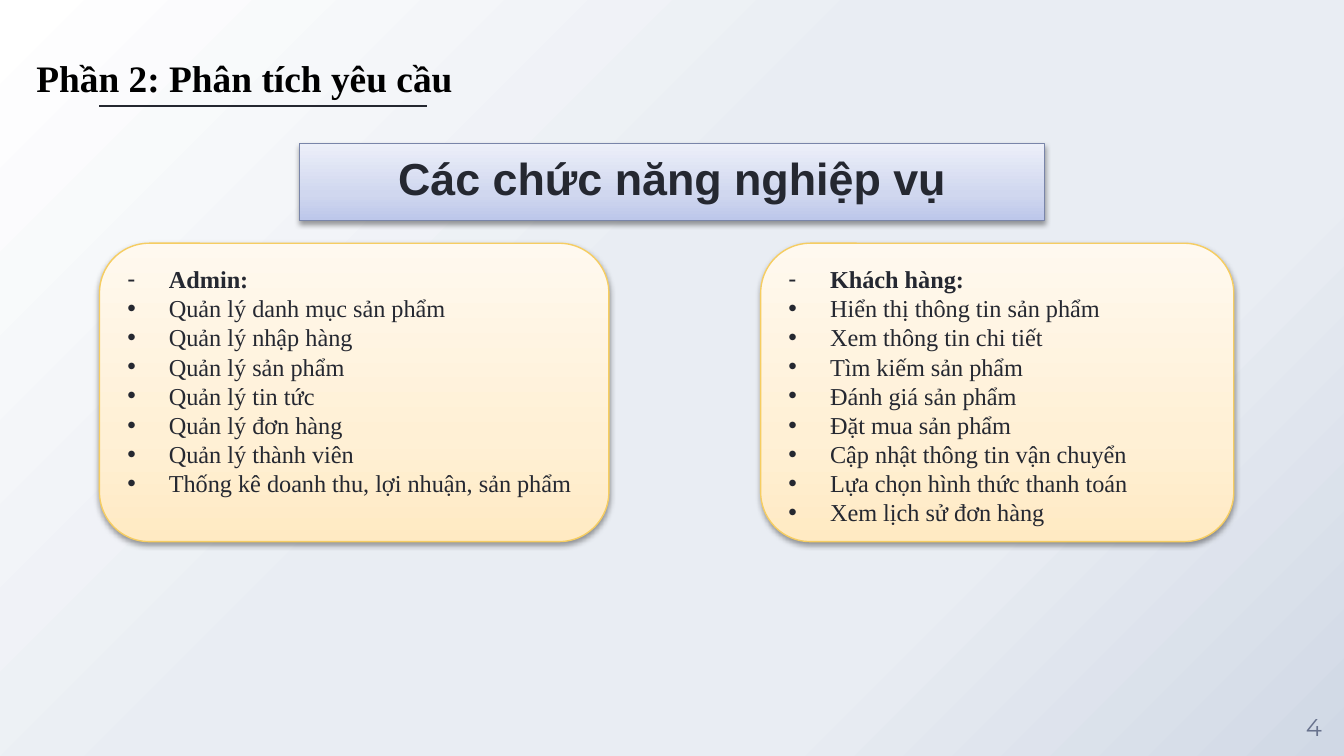
"""Build the slide that lists the business functions of admins and customers."""
from lxml import etree
from pptx import Presentation
from pptx.dml.color import RGBColor
from pptx.enum.shapes import MSO_CONNECTOR, MSO_SHAPE
from pptx.enum.text import MSO_ANCHOR, MSO_AUTO_SIZE, PP_ALIGN
from pptx.oxml import parse_xml
from pptx.oxml.ns import nsdecls, qn
from pptx.util import Inches, Pt

ROUNDED = MSO_SHAPE.ROUNDED_RECTANGLE
PROCESS = MSO_SHAPE.FLOWCHART_PROCESS
LEFT, CENTER = PP_ALIGN.LEFT, PP_ALIGN.CENTER
TOP, MIDDLE = MSO_ANCHOR.TOP, MSO_ANCHOR.MIDDLE
INK = "252831"
SERIF = "Times New Roman"
SHADOW = (
    f'<a:effectLst {nsdecls("a")}><a:outerShdw blurRad="39370" dist="20320" dir="5400000" '
    'rotWithShape="0"><a:srgbClr val="000000"><a:alpha val="38000"/></a:srgbClr>'
    "</a:outerShdw></a:effectLst>"
)


def rgb(color):
    return RGBColor.from_string(color)


def set_gradient(fill, owner, stops):
    fill.gradient()
    gradient = next(owner.iter(qn("a:gradFill")))
    stop_list = gradient.find(qn("a:gsLst"))
    for old_stop in list(stop_list):
        stop_list.remove(old_stop)
    for position, color in stops:
        stop = etree.SubElement(stop_list, qn("a:gs"), pos=str(position * 1000))
        etree.SubElement(stop, qn("a:srgbClr"), val=color)
    return gradient


prs = Presentation()
prs.slide_width = Inches(10)
prs.slide_height = Inches(10 * 9 / 16)
slide = prs.slides.add_slide(prs.slide_layouts[5])

backdrop = set_gradient(
    slide.background.fill, slide.element,
    [(0, "FFFFFF"), (44, "E9EDF3"), (72, "E9EDF3"), (100, "D0D8E5")])
backdrop.remove(backdrop.find(qn("a:lin")))
circle = etree.SubElement(backdrop, qn("a:path"), path="circle")
etree.SubElement(circle, qn("a:fillToRect"), r="100000", b="100000")

underline = slide.shapes.add_connector(
    MSO_CONNECTOR.STRAIGHT, Inches(0.74), Inches(0.79), Inches(3.18), Inches(0.79))
underline.line.color.rgb = rgb("242730")
underline.line.width = Pt(0.75)
etree.SubElement(underline.element.spPr, qn("a:effectLst"))

page_number = slide.shapes.add_textbox(Inches(9.55), Inches(5.18), Inches(0.45), Inches(0.45))
heading = slide.shapes.title
heading.left, heading.top = Inches(0.17), Inches(0.36)
heading.width, heading.height = Inches(4.72), Inches(0.44)

number_frame = page_number.text_frame
number_frame.margin_left = number_frame.margin_right = 0
number_frame.margin_top = number_frame.margin_bottom = 0
heading.text_frame.auto_size = MSO_AUTO_SIZE.SHAPE_TO_FIT_TEXT

CREAM = [(0, "FFEAC3"), (35, "FFF0D5"), (100, "FFF9EF")]
LAVENDER = [(0, "BDC7EA"), (35, "D0D7EF"), (100, "ECEFF9")]
ADMIN = [
    "Admin:", "Quản lý danh mục sản phẩm", "Quản lý nhập hàng", "Quản lý sản phẩm",
    "Quản lý tin tức", "Quản lý đơn hàng", "Quản lý thành viên",
    "Thống kê doanh thu, lợi nhuận, sản phẩm",
]
CUSTOMER = [
    "Khách hàng:", "Hiển thị thông tin sản phẩm", "Xem thông tin chi tiết",
    "Tìm kiếm sản phẩm", "Đánh giá sản phẩm", "Đặt mua sản phẩm",
    "Cập nhật thông tin vận chuyển", "Lựa chọn hình thức thanh toán",
    "Xem lịch sử đơn hàng",
]
panels = []
for geometry, left, top, width, height, stops, border in [
    (ROUNDED, 0.74, 1.81, 3.79, 2.22, CREAM, "F6CD61"),
    (ROUNDED, 5.66, 1.81, 3.52, 2.22, CREAM, "F6CD61"),
    (PROCESS, 2.23, 1.07, 5.54, 0.57, LAVENDER, "7985A9"),
]:
    panel = slide.shapes.add_shape(
        geometry, Inches(left), Inches(top), Inches(width), Inches(height))
    set_gradient(panel.fill, panel.element, stops)
    panel.fill.gradient_angle = 90
    panel.line.color.rgb = rgb(border)
    panel.line.width = Pt(0.75)
    panel.element.spPr.append(parse_xml(SHADOW))
    panels.append(panel)
admin_panel, customer_panel, banner = panels

for holder, text, font, size, color, bold, align, anchor in [
    (page_number, "4", "Montserrat", 13, "68728D", False, CENTER, MIDDLE),
    (heading, "Phần 2: Phân tích yêu cầu", SERIF, 20, "000000", True, LEFT, TOP),
    (banner, "Các chức năng nghiệp vụ", "Arial", 24, INK, True, CENTER, TOP),
    (admin_panel, "\n".join(ADMIN), SERIF, 13, INK, False, LEFT, TOP),
    (customer_panel, "\n".join(CUSTOMER), SERIF, 13, INK, False, LEFT, TOP),
]:
    frame = holder.text_frame
    frame.text = text
    frame.word_wrap = True
    frame.vertical_anchor = anchor
    for paragraph in frame.paragraphs:
        paragraph.alignment = align
        for run in paragraph.runs:
            run.font.name = font
            run.font.size = Pt(size)
            run.font.bold = bold
            run.font.color.rgb = rgb(color)

for panel in (admin_panel, customer_panel):
    for index, paragraph in enumerate(panel.text_frame.paragraphs):
        properties = paragraph._p.get_or_add_pPr()
        properties.set("marL", str(Inches(0.31)))
        properties.set("indent", str(Inches(-0.31)))
        etree.SubElement(properties, qn("a:buFont"), typeface="Arial")
        etree.SubElement(properties, qn("a:buChar"), char="•" if index else "-")
    panel.text_frame.paragraphs[0].runs[0].font.bold = True

prs.save("out.pptx")
